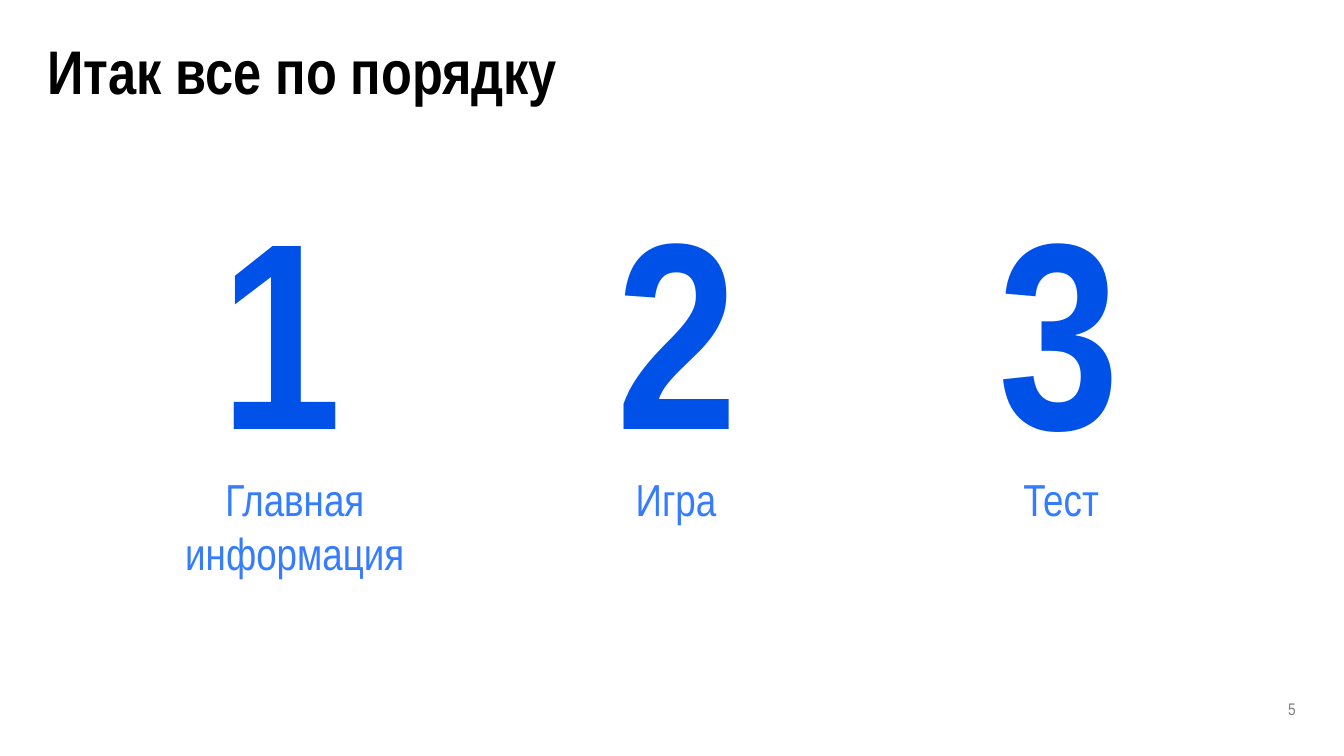
from pptx import Presentation
from pptx.dml.color import RGBColor
from pptx.enum.shapes import MSO_SHAPE
from pptx.enum.text import MSO_ANCHOR, PP_ALIGN
from pptx.util import Inches, Pt

TITLE = "Итак все по порядку"
PAGE = "5"
# number, number left, caption lines, caption left, caption width, caption height
STEPS = [
    ("1", 1.88, ["Главная", "информация"], 1.53, 2.79, 1.18),
    ("2", 5.81, ["Игра"], 5.14, 3.13, 0.64),
    ("3", 9.6, ["Тест"], 8.96, 3.13, 0.64),
]
NUMBER_TOP, NUMBER_W, NUMBER_H = 1.56, 1.81, 3.3
CAPTION_TOP = 4.63

FONT = "Arial Narrow"
WHITE = RGBColor(0xFF, 0xFF, 0xFF)
BLACK = RGBColor(0x00, 0x00, 0x00)
GRAY = RGBColor(0x80, 0x80, 0x80)
BLUE = RGBColor(0x00, 0x51, 0xE8)
LIGHT_BLUE = RGBColor(0x36, 0x7C, 0xFF)
LEFT, CENTER, RIGHT = PP_ALIGN.LEFT, PP_ALIGN.CENTER, PP_ALIGN.RIGHT
TOP, MIDDLE = MSO_ANCHOR.TOP, MSO_ANCHOR.MIDDLE
RECT = MSO_SHAPE.RECTANGLE


def write(sp, lines, size, color, bold=False, align=CENTER, anchor=TOP, spacing=1.0):
    tf = sp.text_frame
    tf.word_wrap = True
    tf.vertical_anchor = anchor
    for i, line in enumerate(lines):
        p = tf.paragraphs[0] if i == 0 else tf.add_paragraph()
        p.alignment = align
        p.line_spacing = spacing
        r = p.add_run()
        r.text = line
        r.font.name = FONT
        r.font.size = Pt(size)
        r.font.bold = bold
        r.font.color.rgb = color


def box(*lengths):
    return [Inches(n) for n in lengths]


prs = Presentation()
prs.slide_width, prs.slide_height = box(13.33, 7.5)
s = prs.slides.add_slide(prs.slide_layouts[5])

title = s.shapes.title
title.left, title.top, title.width, title.height = box(0.37, 0.35, 11.5, 0.77)
write(title, [TITLE], 44, BLACK, bold=True, align=LEFT, anchor=MIDDLE, spacing=0.9)

for number, left, caption, cap_left, cap_w, cap_h in STEPS:
    sp = s.shapes.add_shape(RECT, *box(left, NUMBER_TOP, NUMBER_W, NUMBER_H))
    sp.shadow.inherit = False
    sp.fill.solid()
    sp.fill.fore_color.rgb = WHITE
    sp.line.fill.background()
    write(sp, [number], 190, BLUE, bold=True, anchor=MIDDLE)

    sp = s.shapes.add_textbox(*box(cap_left, CAPTION_TOP, cap_w, cap_h))
    write(sp, caption, 32, LIGHT_BLUE)

page = s.shapes.add_textbox(*box(9.95, 6.89, 3, 0.29))
write(page, [PAGE], 12, GRAY, align=RIGHT, anchor=MIDDLE)

prs.save("out.pptx")
